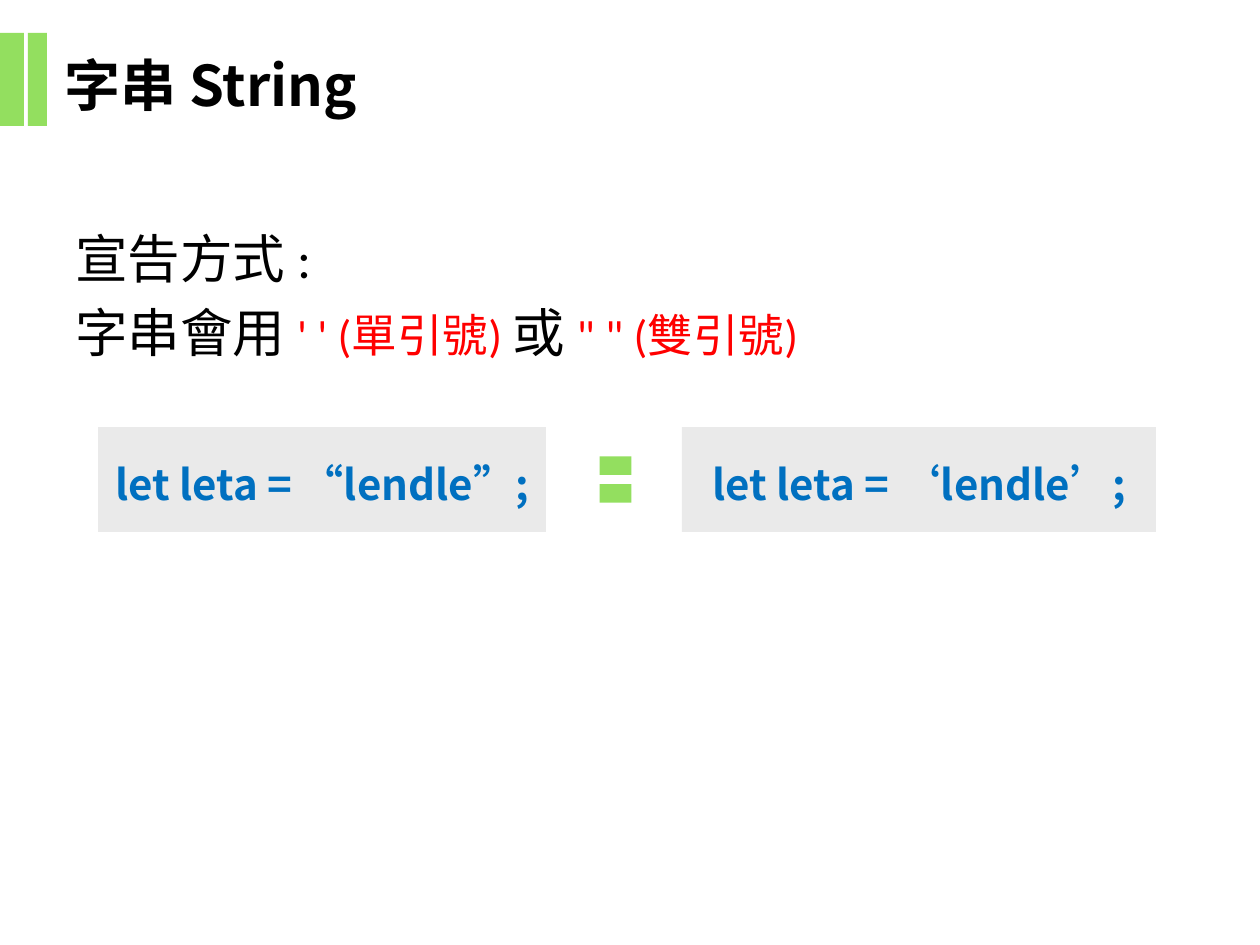
from dataclasses import dataclass

from lxml import etree
from pptx import Presentation
from pptx.dml.color import RGBColor
from pptx.enum.shapes import MSO_SHAPE
from pptx.enum.text import MSO_ANCHOR, PP_ALIGN
from pptx.oxml.ns import qn
from pptx.util import Emu, Pt

RECT, EQUAL = MSO_SHAPE.RECTANGLE, MSO_SHAPE.MATH_EQUAL
TOP, MIDDLE = MSO_ANCHOR.TOP, MSO_ANCHOR.MIDDLE
LEFT, CENTER = PP_ALIGN.LEFT, PP_ALIGN.CENTER
SCALE = 914400 / 126


@dataclass(frozen=True)
class Theme:
    green: str = "93DF5F"
    gray: str = "EAEAEA"
    blue: str = "0070C0"
    red: str = "FF0000"
    black: str = "000000"
    sans: str = "Noto Sans CJK SC"
    plain: str = "Calibri"
    title: int = 32
    body: int = 30
    note: int = 26
    code: int = 24


THEME = Theme()


def px(num):
    return Emu(round(num * SCALE))


def apply(item, values):
    for name, value in values.items():
        setattr(item, name, value)


def block(slide, kind, box, color):
    shape = slide.shapes.add_shape(kind, *map(px, box))
    shape.shadow.inherit = False
    shape.fill.solid()
    shape.fill.fore_color.rgb = RGBColor.from_string(color)
    shape.line.fill.background()
    return shape


def label(slide, box):
    shape = slide.shapes.add_textbox(*map(px, box))
    apply(shape.text_frame, {"word_wrap": True, "vertical_anchor": TOP})
    return shape.text_frame


def write(para, text, size, color, face, bold=False):
    run = para.add_run()
    run.text = text
    apply(run.font, {"size": Pt(size), "bold": bold, "name": face})
    run.font.color.rgb = RGBColor.from_string(color)
    east = etree.SubElement(run.font._element, qn("a:ea"))
    east.set("typeface", THEME.sans)


def header(slide, box, text):
    left, top, width, height = box
    for start, span in ((0, 24), (28, 19)):
        block(slide, RECT, (left + start, top, span, height), THEME.green)
    frame = label(slide, (left + 52, top + 11, width - 52, height - 12))
    para = frame.paragraphs[0]
    write(para, text, THEME.title, THEME.black, THEME.sans, True)


def body(slide, box, lines):
    frame = label(slide, box)
    for index, parts in enumerate(lines):
        para = frame.add_paragraph() if index else frame.paragraphs[0]
        apply(para, {"alignment": LEFT, "space_before": Pt(6)})
        for text, size, color in parts:
            write(para, text, size, color, THEME.plain)


def code(slide, box, text):
    frame = block(slide, RECT, box, THEME.gray).text_frame
    pad = px(13)
    apply(frame, {
        "word_wrap": True, "vertical_anchor": MIDDLE,
        "margin_left": pad, "margin_right": pad,
        "margin_top": pad, "margin_bottom": pad,
    })
    para = frame.paragraphs[0]
    apply(para, {"alignment": CENTER, "line_spacing": 1.15})
    write(para, text, THEME.code, THEME.blue, THEME.sans, True)


def compare(slide, box, first, second):
    left, top, width, height = box
    code(slide, (left, top, 448, height), first)
    code(slide, (left + width - 474, top, 474, height), second)
    block(slide, EQUAL, (left + 496, top + 13, 43, 79), THEME.green)


def main():
    deck = Presentation()
    apply(deck, {"slide_width": px(1260), "slide_height": px(945)})
    slide = deck.slides.add_slide(deck.slide_layouts[6])
    header(slide, (0, 33, 630, 93), "字串 String")
    big = (THEME.body, THEME.black)
    hot = (THEME.note, THEME.red)
    body(slide, (63, 220, 1134, 560), [
        [("宣告方式 :", *big)],
        [("字串會用 ", *big), ("' ' (單引號) ", *hot),
         ("或 ", *big), ("\" \" (雙引號)", *hot)],
    ])
    compare(slide, (98, 427, 1058, 105),
            "let leta = “lendle”;", "let leta = ‘lendle’;")
    deck.save("out.pptx")


if __name__ == "__main__":
    main()
